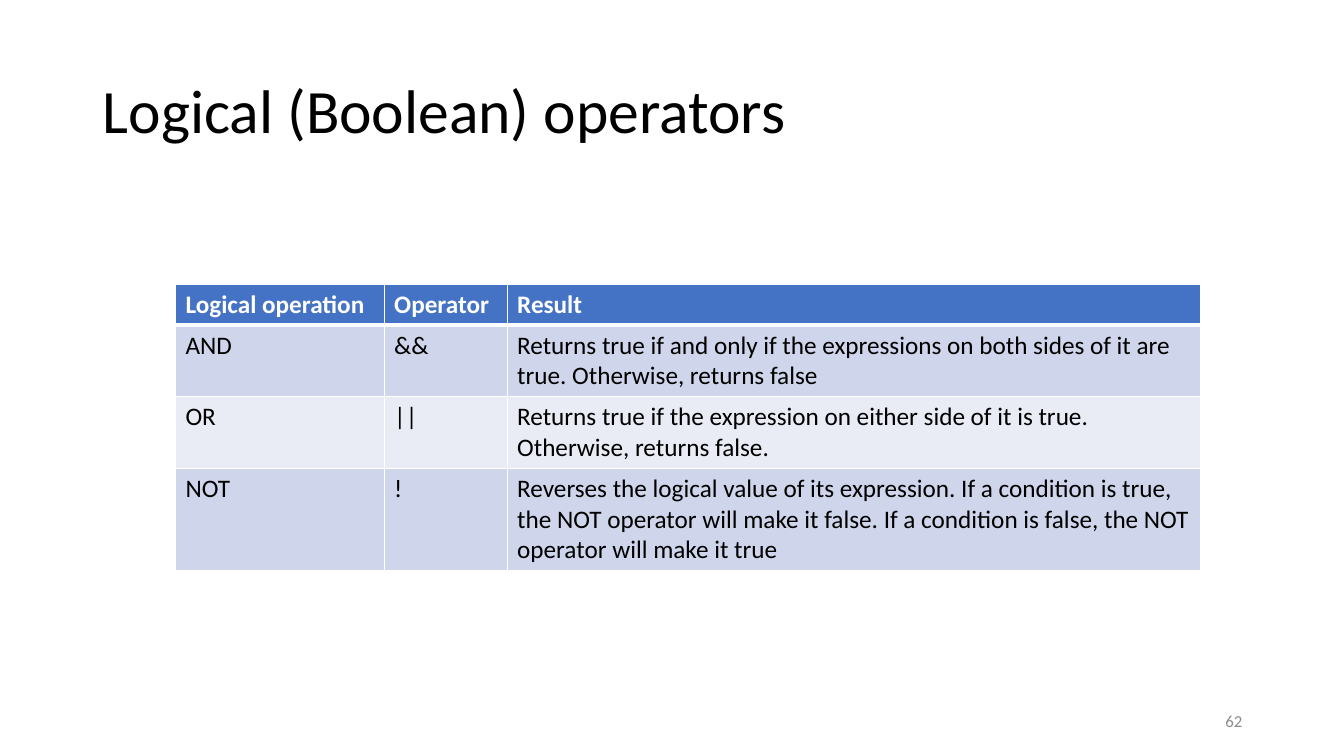
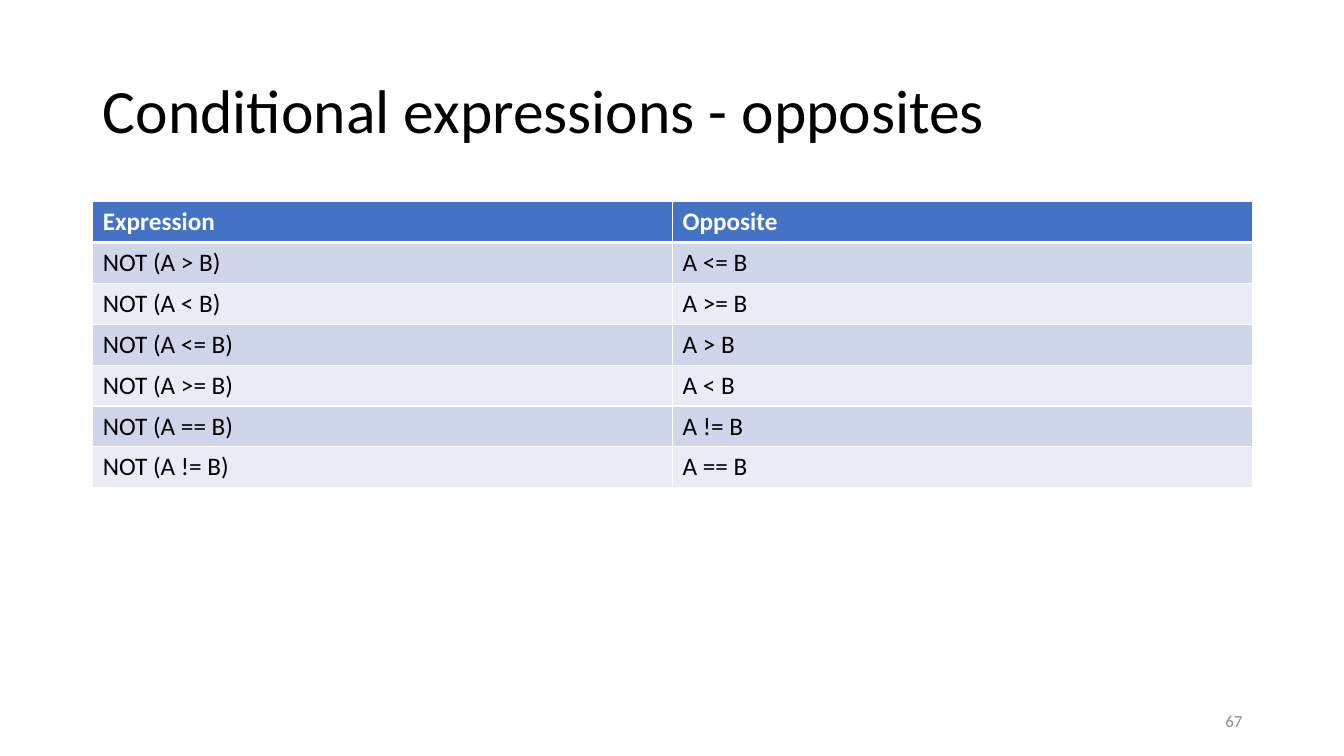
from dataclasses import dataclass

from lxml import etree
from pptx import Presentation
from pptx.dml.color import RGBColor
from pptx.enum.text import MSO_ANCHOR, PP_ALIGN
from pptx.oxml.ns import qn
from pptx.util import Inches, Pt

LEFT, RIGHT = PP_ALIGN.LEFT, PP_ALIGN.RIGHT
MIDDLE = MSO_ANCHOR.MIDDLE
TITLE_ONLY = 5


@dataclass(frozen=True)
class Theme:
    font: str = "Calibri"
    title_size: int = 44
    table_size: int = 18
    number_size: int = 12
    ink: str = "000000"
    paper: str = "FFFFFF"
    muted: str = "8C8C8C"
    header: str = "4472C4"
    bands: tuple = ("CFD5EA", "E9EBF5")
    thin_rule: int = 1
    header_rule: int = 3


THEME = Theme()
TITLE_BOX = (0.92, 0.4, 11.5, 1.45)
NUMBER_BOX = (9.42, 6.95, 3, 0.4)
ROW_PITCH = 2.84 / 7

OPERATORS = [
    ("Logical operation", "Operator", "Result"),
    ("AND", "&&", "Returns true if and only if the expressions on both sides "
     "of it are true. Otherwise, returns false"),
    ("OR", "||", "Returns true if the expression on either side of it is true. "
     "Otherwise, returns false."),
    ("NOT", "!", "Reverses the logical value of its expression. If a condition "
     "is true, the NOT operator will make it false. If a condition is false, "
     "the NOT operator will make it true"),
]
OPPOSITES = [
    ("Expression", "Opposite"),
    ("NOT (A > B)", "A <= B"),
    ("NOT (A < B)", "A >= B"),
    ("NOT (A <= B)", "A > B"),
    ("NOT (A >= B)", "A < B"),
    ("NOT (A == B)", "A != B"),
    ("NOT (A != B)", "A == B"),
]


def write(frame, text, size, color, bold=False, align=LEFT):
    frame.text = text
    para = frame.paragraphs[0]
    para.alignment = align
    font = para.runs[0].font
    font.name, font.size, font.bold = THEME.font, Pt(size), bold
    font.color.rgb = RGBColor.from_string(color)
    return para


def add_title(page, text, box):
    title = page.shapes.title
    title.left, title.top, title.width, title.height = map(Inches, box)
    frame = title.text_frame
    frame.vertical_anchor = MIDDLE
    para = write(frame, text, THEME.title_size, THEME.ink)
    para.line_spacing = 0.9


def add_page_number(page, number, box):
    frame = page.shapes.add_textbox(*map(Inches, box)).text_frame
    frame.word_wrap = True
    frame.vertical_anchor = MIDDLE
    write(frame, str(number), THEME.number_size, THEME.muted, align=RIGHT)


def set_borders(cell, top, bottom):
    """Rule all four sides; top and bottom widths are in points."""
    properties = cell._tc.get_or_add_tcPr()
    widths = {"L": THEME.thin_rule, "R": THEME.thin_rule, "T": top, "B": bottom}
    for index, (side, width) in enumerate(widths.items()):
        line = etree.Element(qn(f"a:ln{side}"), w=str(Pt(width)))
        fill = etree.SubElement(line, qn("a:solidFill"))
        etree.SubElement(fill, qn("a:srgbClr"), val=THEME.paper)
        properties.insert(index, line)


def style_cell(cell, text, row):
    is_header = row == 0
    fill = THEME.header if is_header else THEME.bands[(row - 1) % 2]
    cell.fill.solid()
    cell.fill.fore_color.rgb = RGBColor.from_string(fill)
    write(cell.text_frame, text, THEME.table_size,
          THEME.paper if is_header else THEME.ink, bold=is_header)
    set_borders(cell,
                top=THEME.header_rule if row == 1 else THEME.thin_rule,
                bottom=THEME.header_rule if is_header else THEME.thin_rule)


def add_banded_table(page, rows, left, top, widths):
    """Place a table of one-line rows, which grow where their text wraps."""
    box = (left, top, sum(widths), ROW_PITCH * len(rows))
    table = page.shapes.add_table(len(rows), len(widths), *map(Inches, box)).table
    for column, width in zip(table.columns, widths):
        column.width = Inches(width)
    for row, texts in enumerate(rows):
        for column, text in enumerate(texts):
            style_cell(table.cell(row, column), text, row)


def add_table_slide(deck, title, number, rows, left, top, widths):
    page = deck.slides.add_slide(deck.slide_layouts[TITLE_ONLY])
    add_title(page, title, TITLE_BOX)
    add_banded_table(page, rows, left, top, widths)
    add_page_number(page, number, NUMBER_BOX)


def main():
    deck = Presentation()
    deck.slide_width, deck.slide_height = Inches(13.33), Inches(7.5)
    add_table_slide(deck, "Logical (Boolean) operators", 62, OPERATORS,
                    left=1.74, top=2.82, widths=(2.07, 1.22, 6.88))
    add_table_slide(deck, "Conditional expressions - opposites", 67, OPPOSITES,
                    left=0.92, top=2, widths=(5.75, 5.75))
    deck.save("out.pptx")


if __name__ == "__main__":
    main()
